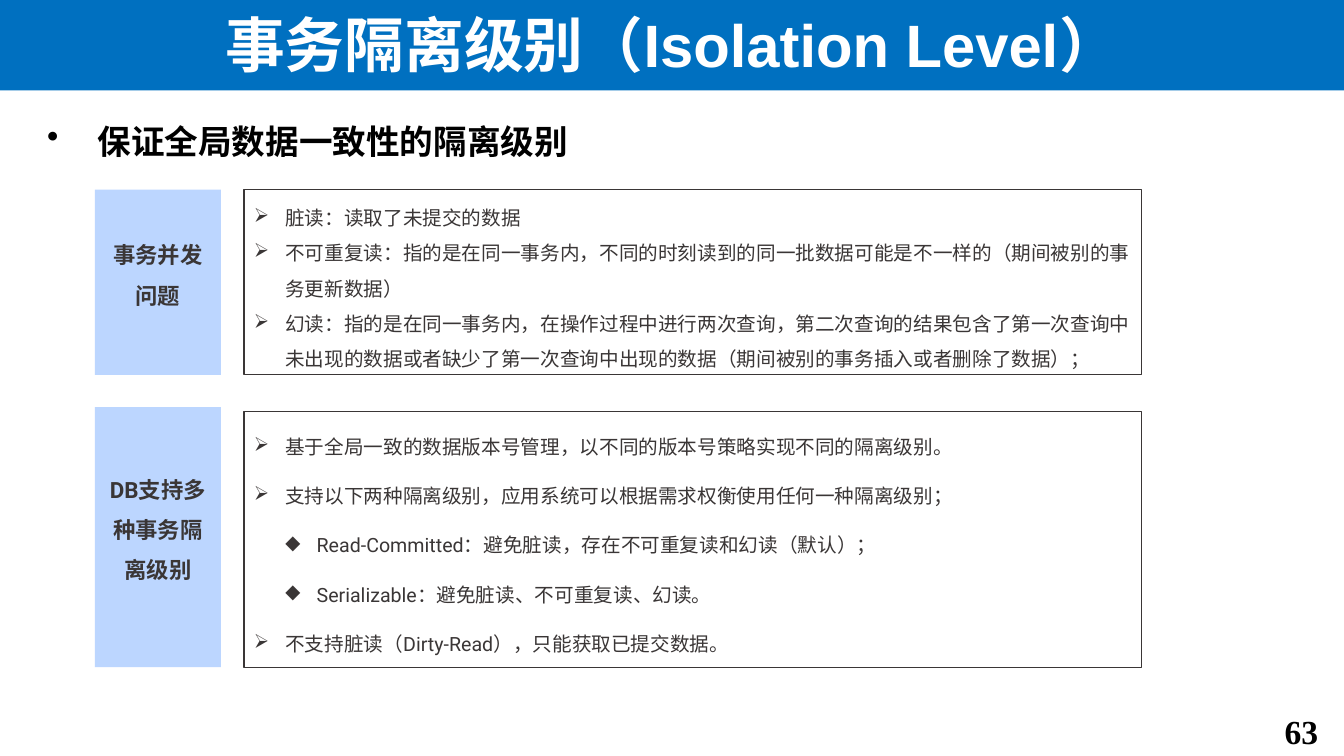
from dataclasses import dataclass

from lxml import etree
from pptx import Presentation
from pptx import util as u
from pptx.dml import color
from pptx.enum import shapes, text
from pptx.oxml import ns

BLUE, PALE_BLUE, DARK, BLACK, WHITE = "0070C0", "BCD6FF", "3A3636", "000000", "FFFFFF"
LEFT, CENTER, RIGHT = text.PP_ALIGN.LEFT, text.PP_ALIGN.CENTER, text.PP_ALIGN.RIGHT
TOP, MIDDLE = text.MSO_ANCHOR.TOP, text.MSO_ANCHOR.MIDDLE
LABEL_LEFT, LABEL_WIDTH = 2.39, 3.18
DETAIL_LEFT, DETAIL_WIDTH = 6.15, 22.61
INDENT = 0.79


@dataclass(frozen=True)
class Style:
    size: float
    font: str
    color: str
    bold: bool = False
    align: text.PP_ALIGN = LEFT
    line_spacing: float = 1.0
    space_before: float = 0


@dataclass(frozen=True)
class Line:
    words: str
    bullet: str = ""
    margin: float = 0
    hanging: float = 0


@dataclass(frozen=True)
class Section:
    label: str
    label_top: float
    label_height: float
    detail_top: float
    detail_height: float
    space_before: float
    lines: tuple[Line, ...]


def rgb(value: str) -> color.RGBColor:
    return color.RGBColor.from_string(value)


def point(words: str) -> Line:
    return Line(words, "➢", INDENT, INDENT)


def subpoint(words: str) -> Line:
    return Line(words, "◆", 2 * INDENT, INDENT)


def apply_format(target, values: dict) -> None:
    for name, value in values.items():
        setattr(target, name, value)


def place(shape, left: float, top: float, width: float, height: float) -> None:
    values = {"left": left, "top": top, "width": width, "height": height}
    apply_format(shape, {name: u.Cm(value) for name, value in values.items()})


def add_bullet(paragraph, line: Line) -> None:
    properties = paragraph._p.get_or_add_pPr()
    properties.set("marL", str(u.Cm(line.margin)))
    properties.set("indent", str(-u.Cm(line.hanging)))
    etree.SubElement(properties, ns.qn("a:buChar")).set("char", line.bullet)


def write(shape, lines: tuple[Line, ...], style: Style, anchor: text.MSO_ANCHOR) -> None:
    frame = shape.text_frame
    apply_format(frame, {"word_wrap": True, "auto_size": text.MSO_AUTO_SIZE.NONE,
                         "vertical_anchor": anchor})
    for index, line in enumerate(lines):
        paragraph = frame.add_paragraph() if index else frame.paragraphs[0]
        if line.bullet:
            add_bullet(paragraph, line)
        apply_format(paragraph, {
            "alignment": style.align,
            "line_spacing": style.line_spacing,
            "space_before": u.Pt(style.space_before if index else 0),
        })
        run = paragraph.add_run()
        run.text = line.words
        apply_format(run.font, {"size": u.Pt(style.size), "name": style.font,
                                "bold": style.bold})
        run.font.color.rgb = rgb(style.color)


def add_rectangle(slide, left: float, top: float, width: float, height: float,
                  fill: str = "", outline: str = ""):
    shape = slide.shapes.add_shape(shapes.MSO_SHAPE.RECTANGLE, 0, 0, 0, 0)
    place(shape, left, top, width, height)
    shape.shadow.inherit = False
    if fill:
        shape.fill.solid()
        shape.fill.fore_color.rgb = rgb(fill)
    else:
        shape.fill.background()
    if outline:
        shape.line.color.rgb = rgb(outline)
        shape.line.width = u.Pt(0.75)
    else:
        shape.line.fill.background()
    return shape


def add_text(slide, left: float, top: float, width: float, height: float,
             line: Line, style: Style) -> None:
    box = slide.shapes.add_textbox(0, 0, 0, 0)
    place(box, left, top, width, height)
    write(box, (line,), style, TOP)


def add_title(slide, words: str) -> None:
    title = slide.shapes.title
    place(title, 0, -0.08, 33.87, 2.36)
    title.fill.solid()
    title.fill.fore_color.rgb = rgb(BLUE)
    write(title, (Line(words),), Style(42.7, "Arial", WHITE, True, CENTER), MIDDLE)


def add_section(slide, section: Section) -> None:
    detail = add_rectangle(slide, DETAIL_LEFT, section.detail_top, DETAIL_WIDTH,
                           section.detail_height, outline=DARK)
    write(detail, section.lines,
          Style(14, "Roboto", DARK, line_spacing=1.5, space_before=section.space_before),
          MIDDLE)
    label = add_rectangle(slide, LABEL_LEFT, section.label_top, LABEL_WIDTH,
                          section.label_height, fill=PALE_BLUE)
    apply_format(label.text_frame, {"margin_top": 0, "margin_bottom": u.Cm(0.71)})
    write(label, (Line(section.label),),
          Style(16, "Roboto", DARK, True, CENTER, 1.5), MIDDLE)


SECTIONS = (
    Section("事务并发问题", 4.78, 4.67, 4.78, 4.67, 0, (
        point("脏读：读取了未提交的数据"),
        point("不可重复读：指的是在同一事务内，不同的时刻读到的同一批数据可能是不一样的"
              "（期间被别的事务更新数据）"),
        point("幻读：指的是在同一事务内，在操作过程中进行两次查询，第二次查询的结果包含了"
              "第一次查询中未出现的数据或者缺少了第一次查询中出现的数据"
              "（期间被别的事务插入或者删除了数据）；"),
    )),
    Section("DB支持多种事务隔离级别", 10.26, 6.55, 10.36, 6.45, 10, (
        point("基于全局一致的数据版本号管理，以不同的版本号策略实现不同的隔离级别。"),
        point("支持以下两种隔离级别，应用系统可以根据需求权衡使用任何一种隔离级别；"),
        subpoint("Read-Committed：避免脏读，存在不可重复读和幻读（默认）；"),
        subpoint("Serializable：避免脏读、不可重复读、幻读。"),
        point("不支持脏读（Dirty-Read），只能获取已提交数据。"),
    )),
)


def main() -> None:
    presentation = Presentation()
    apply_format(presentation, {"slide_width": u.Cm(33.87), "slide_height": u.Cm(19.05)})
    slide = presentation.slides.add_slide(presentation.slide_layouts[5])
    add_title(slide, "事务隔离级别（Isolation Level）")
    add_text(slide, 0.94, 2.92, 31.72, 1.4,
             Line("保证全局数据一致性的隔离级别", "•", 1.27, 1.27),
             Style(24, "Arial", BLACK, True))
    for section in SECTIONS:
        add_section(slide, section)
    add_text(slide, 31.34, 17.78, 2.13, 1.27, Line("63"),
             Style(24, "Times New Roman", BLACK, True, RIGHT))
    presentation.save("out.pptx")


if __name__ == "__main__":
    main()
